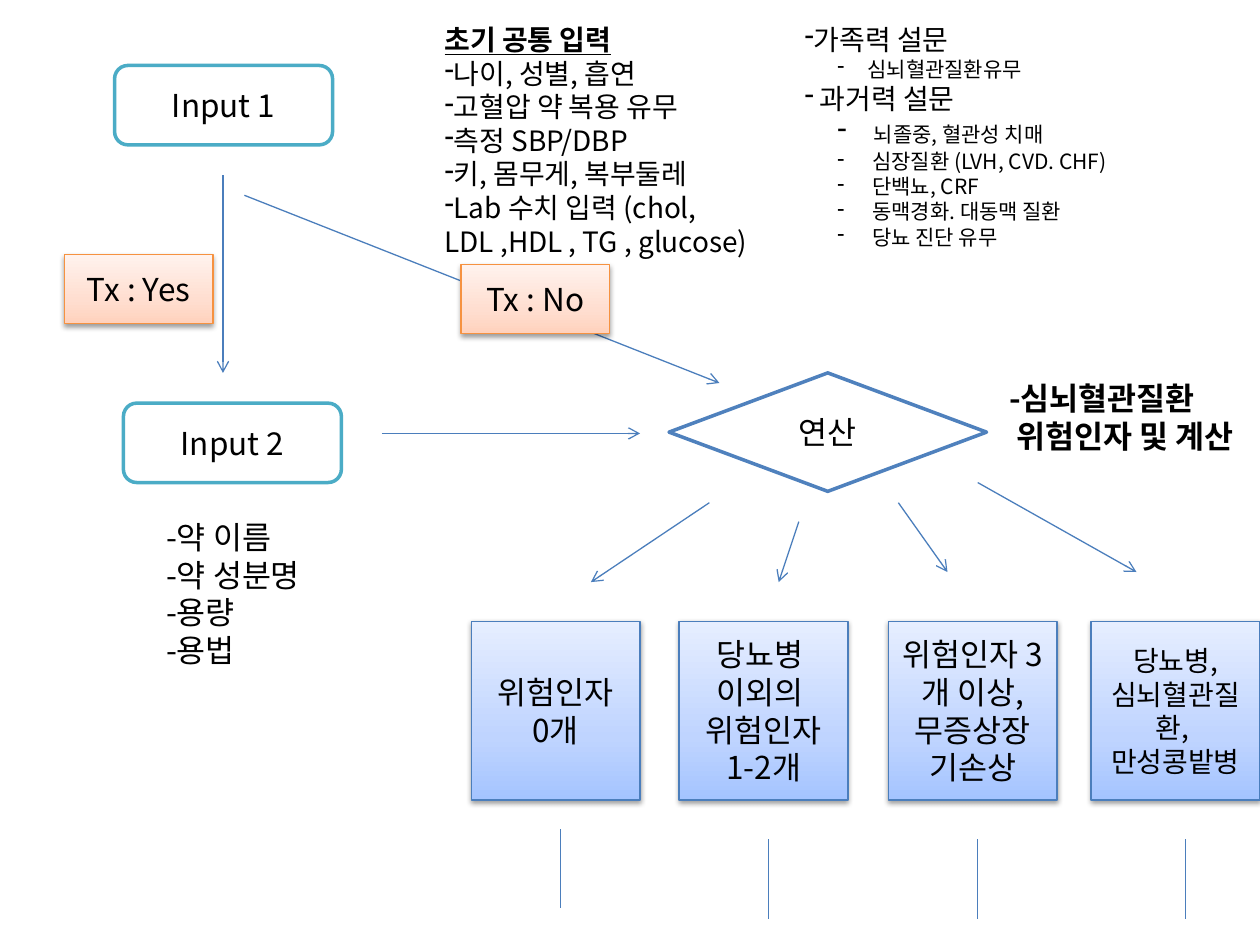
"""Build a flow chart slide for cardiovascular risk assessment."""
from lxml.etree import SubElement
from pptx import Presentation
from pptx.dml.color import RGBColor
from pptx.enum.shapes import MSO_CONNECTOR, MSO_SHAPE
from pptx.enum.text import MSO_ANCHOR, MSO_AUTO_SIZE, PP_ALIGN
from pptx.oxml import parse_xml
from pptx.oxml.ns import qn
from pptx.util import Inches, Pt

FONT = "Noto Sans CJK KR"
NAMESPACE = 'xmlns:a="http://schemas.openxmlformats.org/drawingml/2006/main"'
ORANGE = ("FFD2BD", "FFDED0", "FFF2ED")
BLUE = ("A4C4FF", "BFD4FF", "E6EEFF")


def format_text(box, size, align=PP_ALIGN.LEFT, bold=False):
    for para in box.text_frame.paragraphs:
        para.alignment = align
        for span in para.runs:
            span.font.size = Pt(size)
            span.font.bold = bold
            span.font.name = FONT
            span.font.color.rgb = RGBColor.from_string("000000")
            SubElement(span.font._element, qn("a:ea")).set("typeface", FONT)


def add_box(kind, place, text, line, width, size=18, gradient=None):
    box = page.shapes.add_shape(kind, *[Inches(value) for value in place])
    box.shadow.inherit = False
    box.fill.solid()
    box.fill.fore_color.rgb = RGBColor.from_string("FFFFFF")
    box.line.color.rgb = RGBColor.from_string(line)
    box.line.width = Pt(width)
    if gradient:
        stops = "".join(
            f'<a:gs pos="{position}"><a:srgbClr val="{colour}"/></a:gs>'
            for position, colour in zip((0, 35000, 100000), gradient))
        properties = box._element.spPr
        properties.replace(properties.find(qn("a:solidFill")), parse_xml(
            f'<a:gradFill {NAMESPACE} rotWithShape="1"><a:gsLst>{stops}</a:gsLst>'
            '<a:lin ang="16200000" scaled="0"/></a:gradFill>'))
        properties.find(qn("a:effectLst")).append(parse_xml(
            f'<a:outerShdw {NAMESPACE} blurRad="{Pt(3.1)}" dist="{Pt(1.6)}" '
            'dir="5400000" rotWithShape="0"><a:srgbClr val="000000">'
            '<a:alpha val="38000"/></a:srgbClr></a:outerShdw>'))
    box.text_frame.text = text
    box.text_frame.word_wrap = True
    box.text_frame.vertical_anchor = MSO_ANCHOR.MIDDLE
    format_text(box, size, PP_ALIGN.CENTER)


deck = Presentation()
deck.slide_width, deck.slide_height = Inches(10), Inches(7.5)
page = deck.slides.add_slide(deck.slide_layouts[6])

arrows = [
    (1.77, 1.39, 1.77, 2.96), (1.94, 1.55, 5.71, 3.04),
    (3.03, 3.44, 5.08, 3.44), (5.63, 3.99, 4.69, 4.62),
    (6.34, 4.14, 6.18, 4.62), (7.13, 3.99, 7.52, 4.54),
    (7.76, 3.83, 9.02, 4.54),
]
stems = [(x, y, x, y + 0.63) for x, y in
         ((4.45, 6.58), (6.1, 6.66), (7.76, 6.66), (9.41, 6.66))]
for ends in arrows + stems:
    connector = page.shapes.add_connector(
        MSO_CONNECTOR.STRAIGHT, *[Inches(value) for value in ends])
    connector.line.color.rgb = RGBColor.from_string("4B7EBC")
    connector.line.width = Pt(0.75)
    if ends in arrows:
        SubElement(connector.line._get_or_add_ln(), qn("a:tailEnd")).set("type", "arrow")
    SubElement(connector._element.spPr, qn("a:effectLst"))

for left, top, text in ((0.91, 0.52, "Input 1"), (0.98, 3.2, "Input 2")):
    add_box(MSO_SHAPE.ROUNDED_RECTANGLE, (left, top, 1.73, 0.63), text, "4BACC6", 2)
for left, top, text in ((0.51, 2.02, "Tx : Yes"), (3.66, 2.1, "Tx : No")):
    add_box(MSO_SHAPE.RECTANGLE, (left, top, 1.18, 0.55), text, "F69240", 0.75,
            gradient=ORANGE)
add_box(MSO_SHAPE.FLOWCHART_DECISION, (5.31, 2.96, 2.52, 0.94), "연산", "4F81BD", 2)

risk_groups = [
    (3.74, "위험인자\n0개", 18),
    (5.39, "당뇨병 \n이외의 \n위험인자\n1-2개", 18),
    (7.05, "위험인자 3개 이상,\n무증상장기손상", 18),
    (8.66, "당뇨병, 심뇌혈관질환, \n만성콩밭병", 16),
]
for left, text, size in risk_groups:
    add_box(MSO_SHAPE.RECTANGLE, (left, 4.93, 1.34, 1.42), text, "4B7EBC", 0.75,
            size, BLUE)

notes = [
    ((1.22, 4.06, 1.4, 1.31), "-약 이름\n-약 성분명\n-용량\n-용법", False, False),
    ((7.91, 2.96, 2.09, 1.01), "-심뇌혈관질환\n 위험인자 및 계산", True, True),
]
for place, text, wrap, bold in notes:
    box = page.shapes.add_textbox(*[Inches(value) for value in place])
    box.text_frame.text = text
    box.text_frame.word_wrap = wrap
    box.text_frame.auto_size = MSO_AUTO_SIZE.SHAPE_TO_FIT_TEXT
    format_text(box, 18, bold=bold)

survey_lines = [
    (0, "초기 공통 입력"), (0, "나이, 성별, 흡연"), (0, "고혈압 약 복용 유무"),
    (0, "측정 SBP/DBP"), (0, "키, 몸무게, 복부둘레"),
    (0, "Lab 수치 입력 (chol, LDL ,HDL , TG , glucose)"),
    (0, "가족력 설문"), (1, "심뇌혈관질환유무"), (0, " 과거력 설문"),
    (1, " "), (1, " 심장질환 (LVH, CVD. CHF)"), (1, " 단백뇨, CRF"),
    (1, " 동맥경화. 대동맥 질환"), (1, " 당뇨 진단 유무"),
]
survey = page.shapes.add_textbox(Inches(3.43), Inches(0.13), Inches(5.91), Inches(1.99))
frame = survey.text_frame
frame.text = "\n".join(text for level, text in survey_lines)
frame.word_wrap = True
frame.auto_size = MSO_AUTO_SIZE.SHAPE_TO_FIT_TEXT
frame._txBody.bodyPr.set("numCol", "2")
stroke_para = frame.paragraphs[9]
stroke_para.add_run().text = "뇌졸중, 혈관성 치매"
format_text(survey, 16)
for para, (level, text) in zip(frame.paragraphs, survey_lines):
    para.level = level
    if para is not frame.paragraphs[0] and text != survey_lines[0][1]:
        properties = para._p.get_or_add_pPr()
        properties.set("marL", str(Inches(0.5 * level)))
        properties.set("indent", str(Inches(-0.24 * level)))
        SubElement(properties, qn("a:buChar")).set("char", "-")
    if level:
        para.runs[-1].font.size = Pt(12)
heading = frame.paragraphs[0].runs[0].font
heading.bold = heading.underline = True

deck.save("out.pptx")
